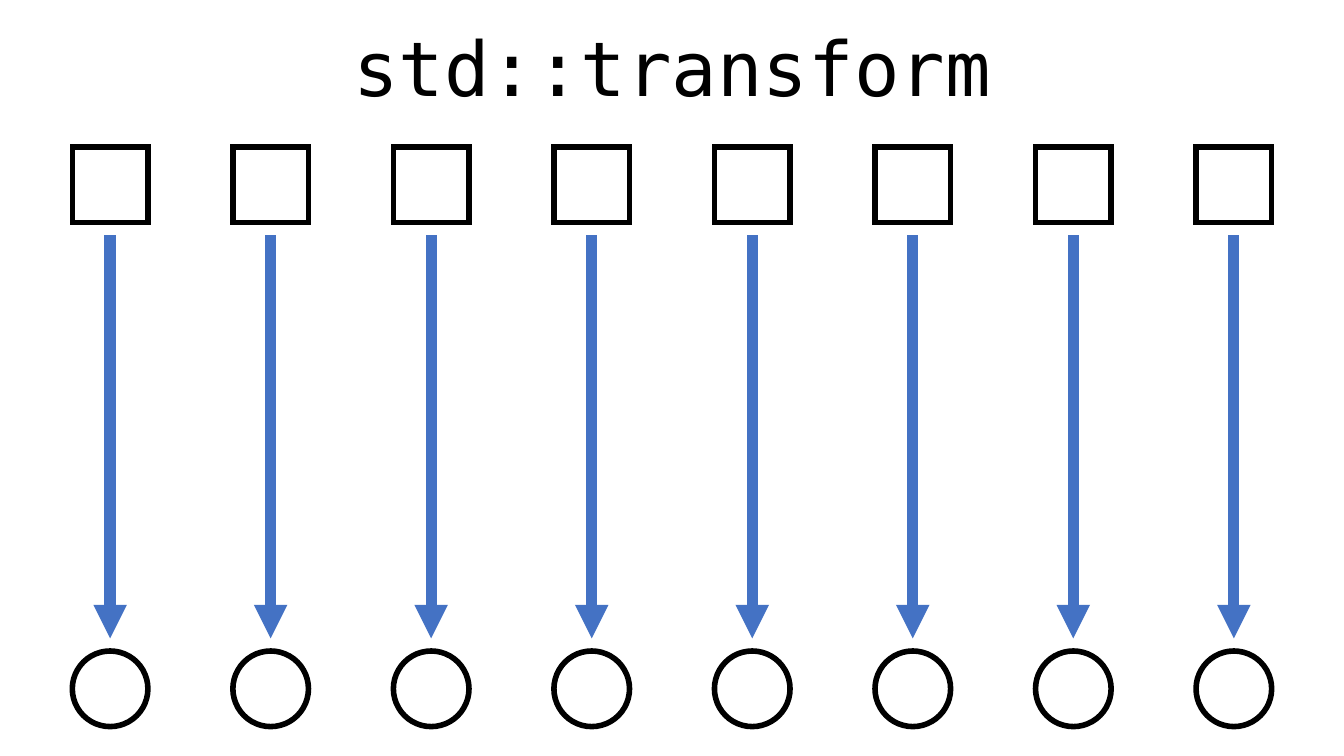
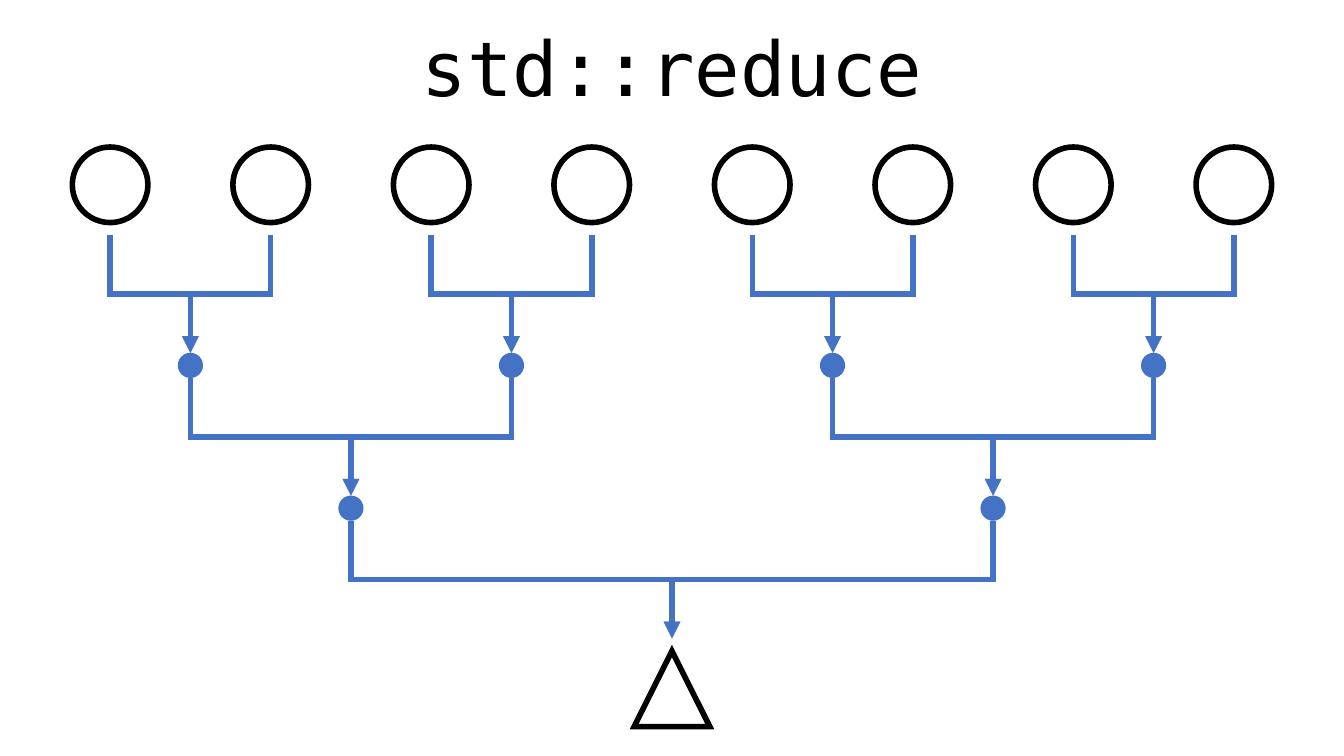
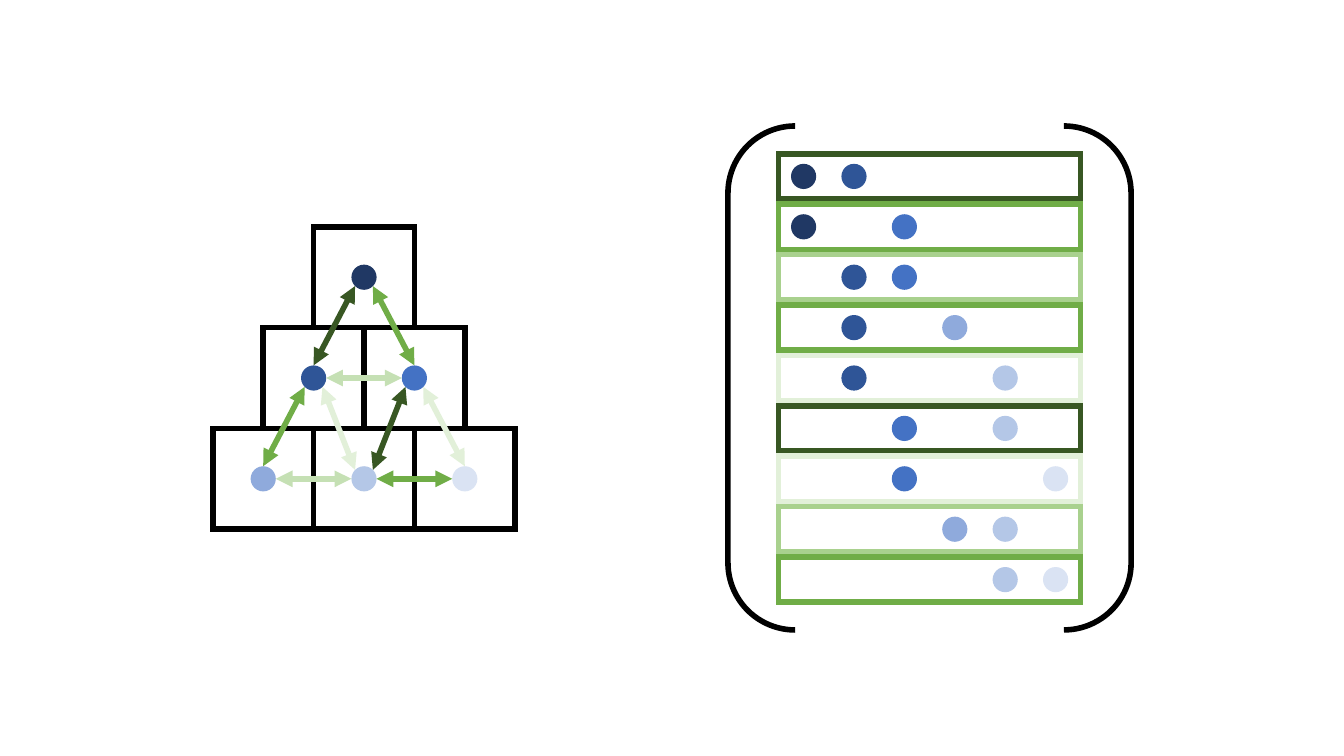
from itertools import combinations

from lxml.etree import SubElement
from pptx import Presentation
from pptx.dml.color import RGBColor
from pptx.enum.shapes import MSO_CONNECTOR as Link, MSO_SHAPE as Kind
from pptx.enum.text import MSO_ANCHOR as Anchor, MSO_AUTO_SIZE as AutoSize, PP_ALIGN as Align
from pptx.oxml.ns import qn
from pptx.util import Pt

COLORS = {
    "black": "000000", "blue": "4472C4",
    "dark green": "385723", "green": "70AD47", "pale green": "E2F0D9",
    "row green": "A9D18E", "arrow green": "C5E0B4",
}
DOT_COLORS = ["203864", "2F5597", COLORS["blue"], "8FAADC", "B4C7E7", "DAE3F3"]
FONT = "DejaVu Sans Mono"
MIDDLE, LINE, DOT, FIGURE = 480, 4, 18, 54


def write_text(box, text, *, font=FONT, size=54, color=COLORS["black"], align=Align.CENTER):
    frame = box.text_frame
    frame.word_wrap = False
    frame.auto_size = AutoSize.SHAPE_TO_FIT_TEXT
    frame.vertical_anchor = Anchor.TOP
    para = frame.paragraphs[0]
    para.alignment = align
    span = para.add_run()
    span.text = text
    span.font.name = font
    span.font.size = Pt(size)
    span.font.color.rgb = RGBColor.from_string(color)


def add_figure(page, kind, center, width, height, *, fill=None, line=None):
    x, y = center
    shape = page.shapes.add_shape(
        kind, Pt(x - width / 2), Pt(y - height / 2), Pt(width), Pt(height))
    shape.shadow.inherit = False
    if fill:
        shape.fill.solid()
        shape.fill.fore_color.rgb = RGBColor.from_string(fill)
    else:
        shape.fill.background()
    if line:
        shape.line.color.rgb = RGBColor.from_string(line)
        shape.line.width = Pt(LINE)
        SubElement(shape.element.spPr.find(qn("a:ln")), qn("a:miter"), lim="800000")
    else:
        shape.line.fill.background()


deck = Presentation()
deck.slide_width, deck.slide_height = Pt(960), Pt(540)

# Pages and titles
pages = []
for text, width in [("std::transform", 474), ("std::reduce", 376)]:
    page = deck.slides.add_slide(deck.slide_layouts[5])
    title = page.shapes.title
    title.left, title.top = Pt(MIDDLE - width / 2), Pt(11.5)
    title.width, title.height = Pt(width), Pt(72.7)
    write_text(title, text)
    pages.append(page)
transform, reduction = pages
matrix = deck.slides.add_slide(deck.slide_layouts[6])

# Arrows are gathered as (page, start, end, colour, width, ends) and drawn last
arrows = []
FIRST_ROW, LAST_ROW, CLEARANCE = 132, 492, 36
columns = [MIDDLE + (i - 3.5) * 114.67 for i in range(8)]

# Transform: each square becomes a circle
for x in columns:
    add_figure(transform, Kind.RECTANGLE, (x, FIRST_ROW), FIGURE, FIGURE, line=COLORS["black"])
    add_figure(transform, Kind.OVAL, (x, LAST_ROW), FIGURE, FIGURE, line=COLORS["black"])
    arrows.append((transform, (x, FIRST_ROW + CLEARANCE), (x, LAST_ROW - CLEARANCE),
                   COLORS["blue"], 8, ["tailEnd"]))

# Reduce: neighbours merge in pairs until one triangle is left
for x in columns:
    add_figure(reduction, Kind.OVAL, (x, FIRST_ROW), FIGURE, FIGURE, line=COLORS["black"])
level, top, drop = columns, FIRST_ROW + CLEARANCE, 84
while len(level) > 1:
    merged = [(a + b) / 2 for a, b in zip(level[::2], level[1::2])]
    for i, x in enumerate(level):
        arrows.append((reduction, (x, top), (merged[i // 2], top + drop),
                       COLORS["blue"], LINE, ["tailEnd"]))
    if len(merged) > 1:
        for x in merged:
            add_figure(reduction, Kind.OVAL, (x, top + drop + DOT / 2), DOT, DOT,
                       fill=COLORS["blue"])
    level, top = merged, top + drop + DOT
add_figure(reduction, Kind.ISOSCELES_TRIANGLE, (MIDDLE, LAST_ROW), FIGURE, FIGURE,
           line=COLORS["black"])

# Pyramid of tiles, a dot in each
TILE = 72
dots = [(260 + (place - row / 2) * TILE, 198 + row * TILE)
        for row in range(3) for place in range(row + 1)]
for center in dots:
    add_figure(matrix, Kind.RECTANGLE, center, TILE, TILE, line=COLORS["black"])
for center, color in zip(dots, DOT_COLORS):
    add_figure(matrix, Kind.OVAL, center, DOT, DOT, fill=color)

# Neighbouring dots: an arrow in the pyramid and a row in the matrix
neighbours = [pair for pair in combinations(range(6), 2)
              if abs(dots[pair[0]][0] - dots[pair[1]][0]) <= TILE
              and dots[pair[1]][1] - dots[pair[0]][1] <= TILE
              and pair not in [(0, 4)]]
shades = ["dark green", "green", "light", "green", "pale green",
          "dark green", "pale green", "light", "green"]
MATRIX_X, MATRIX_Y, STEP = 664, 270, 36
RADIUS, DIAGONAL, SHARED_DOT = DOT / 2, 6.36, 4
add_figure(matrix, Kind.DOUBLE_BRACKET, (MATRIX_X, MATRIX_Y), 288, 360, line=COLORS["black"])
for i, (pair, shade) in enumerate(zip(neighbours, shades)):
    row_color, arrow_color = (
        COLORS[f"{part} green" if shade == "light" else shade] for part in ("row", "arrow"))
    y = MATRIX_Y + (i - 4) * STEP
    add_figure(matrix, Kind.RECTANGLE, (MATRIX_X, y), 6 * STEP, 32.4, line=row_color)
    for dot in pair:
        add_figure(matrix, Kind.OVAL, (MATRIX_X + (dot - 2.5) * STEP, y), DOT, DOT,
                   fill=DOT_COLORS[dot])

    (x1, y1), (x2, y2) = (dots[dot] for dot in pair)
    if y1 == y2:
        start, end = (x1 + RADIUS, y1), (x2 - RADIUS, y2)
    else:
        shift = DIAGONAL if x2 > x1 else -DIAGONAL
        start = (x1 + shift, y1 + DIAGONAL)
        end = (x2 - shift, y2 - DIAGONAL) if pair[1] == SHARED_DOT else (x2, y2 - RADIUS)
    arrows.append((matrix, start, end, arrow_color, LINE, ["headEnd", "tailEnd"]))

# Draw the arrows; those of the reduction bend and run downwards
for page, (x1, y1), (x2, y2), color, width, ends in arrows:
    bent = page is reduction
    if bent:
        # The bent preset runs sideways, so lay it out sideways and turn it
        rightwards = x2 > x1
        x, y = (x1 + x2) / 2, (y1 + y2) / 2
        half_run, half_rise = (y2 - y1) / 2, abs(x2 - x1) / 2
        if rightwards:
            half_run = -half_run
        x1, x2, y1, y2 = x - half_run, x + half_run, y - half_rise, y + half_rise
    arrow = page.shapes.add_connector(
        Link.ELBOW if bent else Link.STRAIGHT, Pt(x1), Pt(y1), Pt(x2), Pt(y2))
    arrow.line.color.rgb = RGBColor.from_string(color)
    arrow.line.width = Pt(width)
    properties = arrow.element.spPr
    if bent:
        properties.find(qn("a:xfrm")).set("rot", "16200000" if rightwards else "5400000")
    outline = properties.find(qn("a:ln"))
    SubElement(outline, qn("a:miter"), lim="800000")
    for end in ends:
        SubElement(outline, qn(f"a:{end}"), type="triangle")
    SubElement(properties, qn("a:effectLst"))

deck.save("out.pptx")
